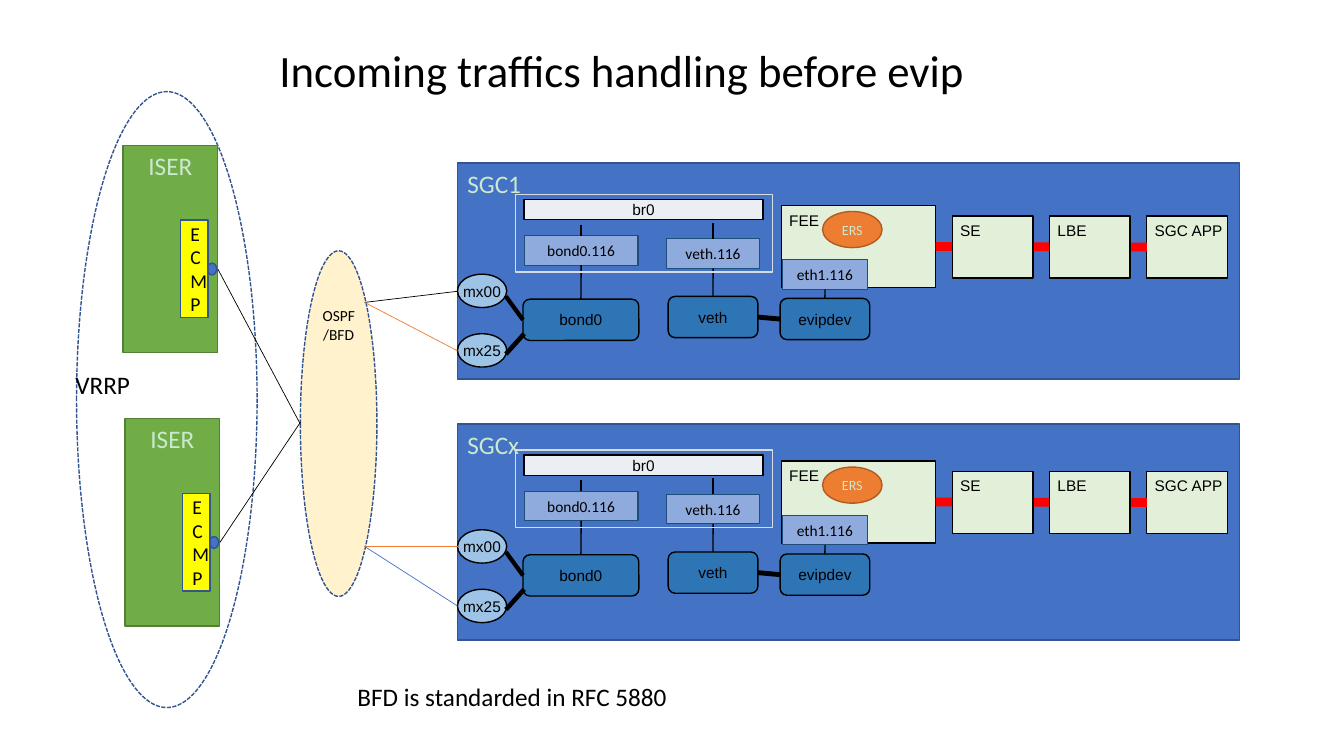
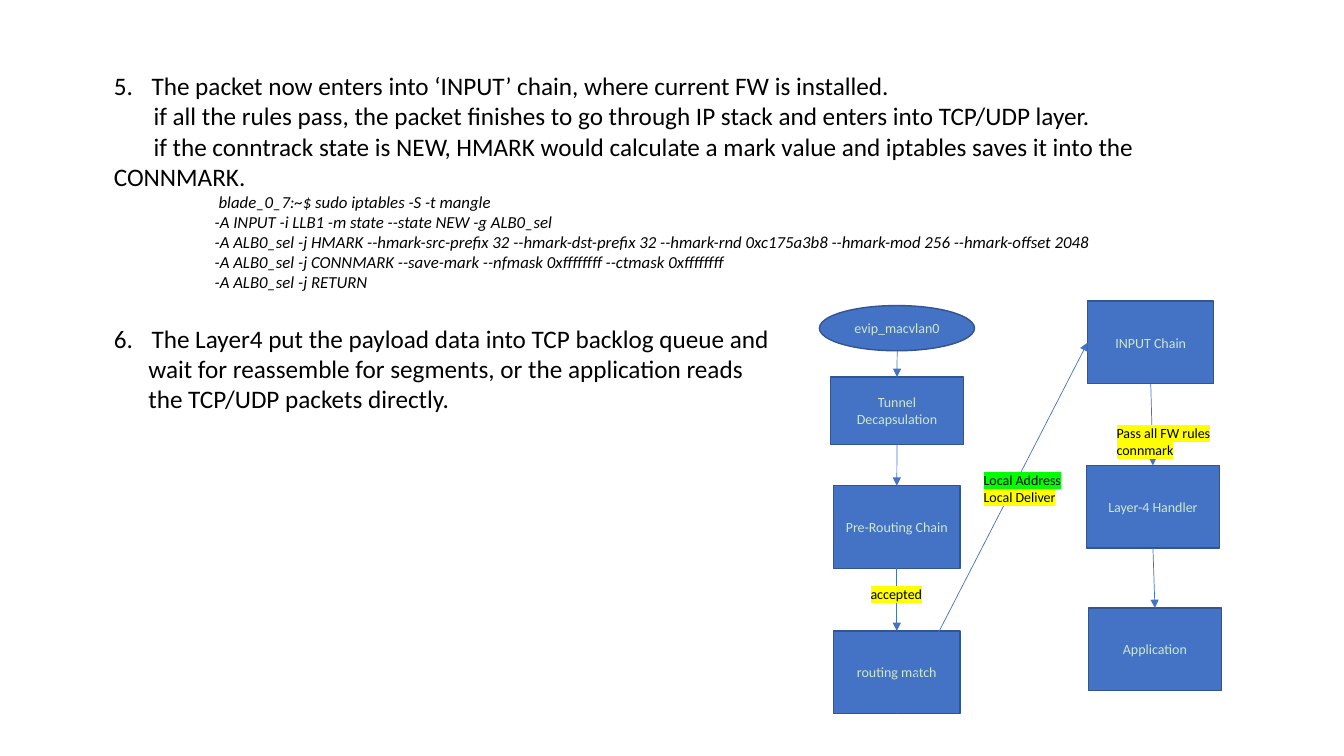
from lxml.etree import SubElement
from pptx import Presentation
from pptx.dml.color import RGBColor
from pptx.enum.dml import MSO_LINE
from pptx.enum.shapes import MSO_CONNECTOR, MSO_SHAPE as SHAPE
from pptx.enum.text import MSO_ANCHOR as ANCHOR, PP_ALIGN as ALIGN
from pptx.oxml.ns import qn
from pptx.shapes.autoshape import Shape
from pptx.util import Cm, Pt

COLORS = {name: RGBColor.from_string(value) for name, value in {
    "black": "000000", "pale": "CCE8CF", "blue": "4472C4", "navy": "325491",
    "device": "2E75B6", "port": "9DC3E6", "vlan": "8FAADC", "vlan_edge": "1F4E79",
    "bridge": "EBEEF2", "bridge_edge": "D6DCE5", "app": "E2F0D9",
    "orange": "ED7D31", "rust": "AF5C24", "cream": "FFF2CC", "red": "FF0000",
    "green": "70AD47", "green_edge": "538035", "yellow": "FFFF00",
}.items()}
HIGHLIGHTS = {"yellow": "FFFF00", "lime": "00FF00"}


def add_box(shapes, kind, box, fill, edge, text="", size=11, color="black", font="Calibri",
            align=ALIGN.CENTER, anchor=ANCHOR.MIDDLE, wrap=True, edge_width=1, dashed=False):
    """Draw a preset shape; box is left, top, width, height in cm."""
    shape = shapes.add_shape(kind, *map(Cm, box))
    shape.shadow.inherit = False
    if fill:
        shape.fill.solid()
        shape.fill.fore_color.rgb = COLORS[fill]
    else:
        shape.fill.background()
    shape.line.color.rgb = COLORS[edge]
    shape.line.width = Pt(edge_width)
    if dashed:
        shape.line.dash_style = MSO_LINE.SQUARE_DOT
    if text:
        frame = shape.text_frame
        frame.word_wrap = wrap
        frame.vertical_anchor = anchor
        if font == "Arial":
            frame.margin_left = frame.margin_right = Cm(0.2)
            frame.margin_top = frame.margin_bottom = Cm(0.13)
        paragraph = frame.paragraphs[0]
        paragraph.text = text
        paragraph.alignment = align
        paragraph.font.name = font
        paragraph.font.size = Pt(size)
        paragraph.font.color.rgb = COLORS[color]
    return shape


def add_line(shapes, start, end, color="black", width=1, arrow=False):
    """Each end is a point in cm, or a shape with the side to join."""
    points = [(0, 0) if isinstance(spot[0], Shape) else spot for spot in (start, end)]
    line = shapes.add_connector(MSO_CONNECTOR.STRAIGHT, *map(Cm, points[0] + points[1]))
    if isinstance(start[0], Shape):
        line.begin_connect(*start)
    if isinstance(end[0], Shape):
        line.end_connect(*end)
    line.line.color.rgb = COLORS[color]
    line.line.width = Pt(width)
    properties = line._element.spPr
    if arrow:
        SubElement(properties.find(qn("a:ln")), qn("a:tailEnd"), type="triangle")
    SubElement(properties, qn("a:effectLst"))


prs = Presentation()
prs.slide_width, prs.slide_height = Cm(33.87), Cm(19.05)
TOP, LEFT, BOTTOM, RIGHT = range(4)

# Slide 1: traffic from the routers to the blades
slide = prs.slides.add_slide(prs.slide_layouts[5])
shapes = slide.shapes
title = shapes.title
title.left, title.top, title.width, title.height = Cm(1.07), Cm(0), Cm(29.21), Cm(3.68)
title.text_frame.vertical_anchor = ANCHOR.MIDDLE
heading = title.text_frame.paragraphs[0]
heading.text = "Incoming traffics handling before evip"
heading.alignment = ALIGN.CENTER
heading.line_spacing = 0.9
heading.font.name = "Calibri"
heading.font.size = Pt(32)
heading.font.color.rgb = COLORS["black"]

add_box(shapes, SHAPE.OVAL, (1.93, 2.31, 4.55, 15.52), None, "navy", dashed=True)

# Blades: the same parts, shifted down by dy
node = dict(edge="black", font="Arial", wrap=False)
corner = dict(fill="app", align=ALIGN.LEFT, anchor=ANCHOR.TOP, **node)
vlan = dict(fill="vlan", edge="vlan_edge", edge_width=0.75)
for blade, blade_top, dy in (("SGC1", 4.11, 0), ("SGCx", 10.69, 6.44)):
    add_box(shapes, SHAPE.RECTANGLE, (11.53, blade_top, 19.71, 5.44), "blue", "navy", blade,
            18, "pale", align=ALIGN.LEFT, anchor=ANCHOR.TOP)

    # Application chain, with the red bar running behind SE and LBE
    fee = add_box(shapes, SHAPE.RECTANGLE, (19.69, 5.18 + dy, 3.89, 2.06), text="FEE", **corner)
    for step, app in ((2, "SGC APP"), (0, "SE"), (1, "LBE")):
        app_box = add_box(shapes, SHAPE.RECTANGLE, (24 + 2.45 * step, 5.44 + dy, 2.03, 1.57),
                          text=app, **corner)
        if app == "SGC APP":
            add_line(shapes, (fee, RIGHT), (app_box, LEFT), "red", 6.25)
    add_box(shapes, SHAPE.OVAL, (20.73, 5.33 + dy, 1.5, 0.91), "orange", "rust", "ERS",
            10, "pale", wrap=False)

    # Bridge and ports
    add_box(shapes, SHAPE.RECTANGLE, (13.21, 5.03 + dy, 6.02, 0.51), "bridge", text="br0", **node)
    for port, top in (("mx00", 6.91), ("mx25", 8.41)):
        add_box(shapes, SHAPE.OVAL, (11.53, top + dy, 1.24, 0.84), "port", text=port, **node)

    # Devices, each under its VLAN interface
    devices = {}
    for device, device_box, interface, vlan_box, bridge_end in (
            ("bond0", (13.18, 7.54, 2.92), "bond0.116", (13.21, 5.94, 2.87), 5.66),
            ("veth", (16.84, 7.47, 2.26), "veth.116", (16.79, 6.02, 2.36), 5.61),
            ("evipdev", (19.66, 7.52, 2.26), "eth1.116", (19.71, 6.55, 2.16), None)):
        left, top, width = device_box
        devices[device] = add_box(shapes, SHAPE.ROUNDED_RECTANGLE, (left, top + dy, width, 1.04),
                                  "device", text=device, **node)
        left, top, width = vlan_box
        vlan_shape = add_box(shapes, SHAPE.RECTANGLE, (left, top + dy, width, 0.74),
                             text=interface, **vlan)
        add_line(shapes, (vlan_shape, BOTTOM), (devices[device], TOP))
        if bridge_end:
            add_line(shapes, (vlan_shape, TOP), (left + width / 2, bridge_end + dy))
    add_line(shapes, (devices["bond0"], LEFT), (12.75, 7.47 + dy), width=3)
    add_line(shapes, (12.75, 8.92 + dy), (13.21, 8.41 + dy), width=3.25)
    add_line(shapes, (devices["veth"], RIGHT), (devices["evipdev"], LEFT), width=3.5)
    add_box(shapes, SHAPE.RECTANGLE, (12.99, 4.9 + dy, 6.48, 1.96), None, "bridge_edge")

# Routers
for dx, dy in ((0, 0), (0.05, 6.89)):
    router = shapes.add_group_shape().shapes
    add_box(router, SHAPE.RECTANGLE, (3.1 + dx, 3.66 + dy, 2.39, 5.23), "green", "green_edge",
            "ISER", 18, "pale", anchor=ANCHOR.TOP)
    add_box(router, SHAPE.OVAL, (5.23 + dx, 6.63 + dy, 0.23, 0.3), "blue", "navy")
    add_box(router, SHAPE.RECTANGLE, (4.55 + dx, 5.54 + dy, 0.69, 2.46), "yellow", "navy",
            "ECMP", 14)

# Routing cloud and its links
add_box(shapes, SHAPE.OVAL, (7.57, 6.32, 1.93, 8.71), "cream", "navy", "OSPF/BFD",
        anchor=ANCHOR.TOP, dashed=True)
for start, end, color in (
        ((5.49, 6.78), (7.57, 10.69), "black"),
        ((7.57, 10.64), (5.54, 13.67), "black"),
        ((9.19, 7.62), (11.53, 7.34), "black"),
        ((9.19, 7.62), (11.53, 8.84), "orange"),
        ((9.19, 13.77), (11.53, 13.77), "orange"),
        ((9.19, 13.77), (11.53, 15.27), "blue")):
    add_line(shapes, start, end, color, 0.5)

# Captions
for caption, box in (("VRRP", (1.65, 9.19, 1.9, 1.02)),
                     ("BFD is standarded in RFC 5880", (8.76, 17.04, 8.41, 1.02))):
    frame = shapes.add_textbox(*map(Cm, box)).text_frame
    frame.word_wrap = False
    paragraph = frame.paragraphs[0]
    paragraph.text = caption
    paragraph.font.name = "Calibri"
    paragraph.font.size = Pt(18)
    paragraph.font.color.rgb = COLORS["black"]

# Slide 2: steps 5 and 6
slide = prs.slides.add_slide(prs.slide_layouts[6])
shapes = slide.shapes
steps = shapes.add_textbox(Cm(2.62), Cm(1.65), Cm(28.65), Cm(9.75)).text_frame
steps.word_wrap = True
# Each line: number, left margin, first-line indent, size, text
for index, (number, margin, indent, size, text) in enumerate((
        (5, 0.95, -0.95, 18,
         "The packet now enters into ‘INPUT’ chain, where current FW is installed."),
        (None, 0, 1, 18, "if all the rules pass, the packet finishes to go through IP stack "
                         "and enters into TCP/UDP layer."),
        (None, 0, 1, 18, "if the conntrack state is NEW, HMARK would calculate a mark value "
                         "and iptables saves it into the CONNMARK."),
        (None, 2.54, 0.1, 12, "blade_0_7:~$ sudo iptables -S -t mangle"),
        (None, 2.54, 0, 12, "-A INPUT -i LLB1 -m state --state NEW -g ALB0_sel"),
        (None, 2.54, 0, 12, "-A ALB0_sel -j HMARK --hmark-src-prefix 32 --hmark-dst-prefix 32 "
                            "--hmark-rnd 0xc175a3b8 --hmark-mod 256 --hmark-offset 2048"),
        (None, 2.54, 0, 12, "-A ALB0_sel -j CONNMARK --save-mark --nfmask 0xffffffff "
                            "--ctmask 0xffffffff"),
        (None, 2.54, 0, 12, "-A ALB0_sel -j RETURN"),
        (6, 0.95, -0.95, 18, "The Layer4 put the payload data into TCP backlog queue and"),
        (None, 0, 0.87, 18, "wait for reassemble for segments, or the application reads"),
        (None, 0, 0.87, 18, "the TCP/UDP packets directly."))):
    paragraph = steps.add_paragraph() if index else steps.paragraphs[0]
    paragraph.text = text
    properties = paragraph._p.get_or_add_pPr()
    properties.set("marL", str(Cm(margin)))
    properties.set("indent", str(Cm(indent)))
    if number:
        SubElement(properties, qn("a:buAutoNum"), type="arabicPeriod", startAt=str(number))
    if number == 6:
        paragraph.space_before = Pt(22)
    paragraph.font.name = "Calibri"
    paragraph.font.size = Pt(size)
    paragraph.font.italic = size == 12
    paragraph.font.color.rgb = COLORS["black"]

# Flow chart
stage = dict(fill="blue", edge="navy", size=10, color="pale")
add_box(shapes, SHAPE.OVAL, (20.65, 7.7, 3.91, 1.14), text="evip_macvlan0", **stage)
tunnel, pre_routing, routing, input_chain, layer4, application = [
    add_box(shapes, SHAPE.RECTANGLE, box, text=text, **stage) for text, box in (
        ("Tunnel Decapsulation", (20.93, 9.5, 3.35, 1.7)),
        ("Pre-Routing Chain", (21.01, 12.24, 3.18, 2.08)),
        ("routing match", (21.01, 15.9, 3.18, 2.08)),
        ("INPUT Chain", (27.41, 7.59, 3.18, 2.08)),
        ("Layer-4 Handler", (27.38, 11.73, 3.35, 2.08)),
        ("Application", (27.43, 15.32, 3.35, 2.08)))]
for start, end in (
        ((22.61, 8.84), (tunnel, TOP)),
        ((tunnel, BOTTOM), (pre_routing, TOP)),
        ((pre_routing, BOTTOM), (routing, TOP)),
        ((routing, BOTTOM), (input_chain, LEFT)),
        ((input_chain, BOTTOM), (layer4, TOP)),
        ((layer4, BOTTOM), (application, TOP))):
    add_line(shapes, start, end, "blue", 0.5, arrow=True)

# Highlighted labels on the arrows
for box, lines in (
        ((21.69, 14.63, 2.24, 0.69), (("accepted", "yellow"),)),
        ((24.54, 11.76, 2.95, 1.12), (("Local Address", "lime"), ("Local Deliver", "yellow"))),
        ((27.89, 10.57, 2.95, 1.12), (("Pass all FW rules", "yellow"), ("connmark", "yellow")))):
    label = shapes.add_textbox(*map(Cm, box)).text_frame
    label.word_wrap = True
    for index, (text, marker) in enumerate(lines):
        paragraph = label.add_paragraph() if index else label.paragraphs[0]
        run = paragraph.add_run()
        run.text = text
        highlight = SubElement(run._r.get_or_add_rPr(), qn("a:highlight"))
        SubElement(highlight, qn("a:srgbClr"), val=HIGHLIGHTS[marker])
        paragraph.font.name = "Calibri"
        paragraph.font.size = Pt(10)
        paragraph.font.color.rgb = COLORS["black"]

prs.save("out.pptx")
